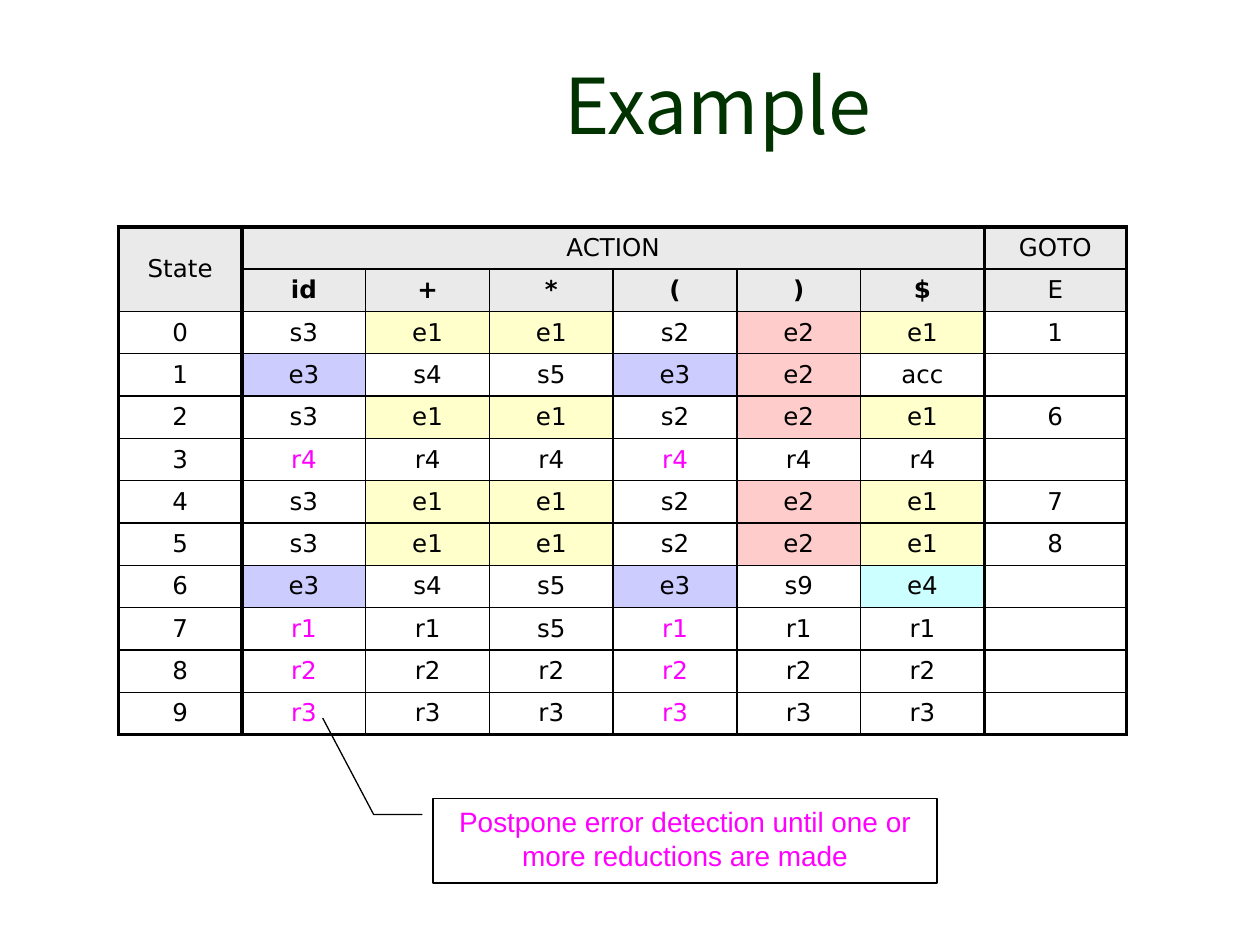
"""Build a slide with an LR parsing table that includes error entries."""
import pptx
import pptx.dml.color
import pptx.enum.shapes
import pptx.enum.text
import pptx.oxml
import pptx.oxml.ns
import pptx.util
from lxml import etree

Pt = pptx.util.Pt
Color = pptx.dml.color.RGBColor.from_string

TITLE = "Example"
NOTE = "Postpone error detection until one or more reductions are made"
HEADER = [
    ["State", "ACTION", "", "", "", "", "", "GOTO"],
    ["", "id", "+", "*", "(", ")", "$", "E"],
]
STATES = [
    ["0", "s3", "e1", "e1", "s2", "e2", "e1", "1"],
    ["1", "e3", "s4", "s5", "e3", "e2", "acc", ""],
    ["2", "s3", "e1", "e1", "s2", "e2", "e1", "6"],
    ["3", "r4", "r4", "r4", "r4", "r4", "r4", ""],
    ["4", "s3", "e1", "e1", "s2", "e2", "e1", "7"],
    ["5", "s3", "e1", "e1", "s2", "e2", "e1", "8"],
    ["6", "e3", "s4", "s5", "e3", "s9", "e4", ""],
    ["7", "r1", "r1", "s5", "r1", "r1", "r1", ""],
    ["8", "r2", "r2", "r2", "r2", "r2", "r2", ""],
    ["9", "r3", "r3", "r3", "r3", "r3", "r3", ""],
]
ROWS = HEADER + STATES
MERGES = [((0, 0), (1, 0)), ((0, 1), (0, 6))]
POSTPONED_COLUMNS = (1, 4)

THEME = {
    "ink": "000000",
    "accent": "FF00FF",
    "title": {"name": "Noto Sans CJK SC", "size": Pt(44), "color": "003300"},
    "cell": {"name": "DejaVu Sans", "size": Pt(14)},
    "note": {"name": "Arial", "size": Pt(16), "color": "FF00FF"},
    "header_fill": "EAEAEA",
    "cell_fill": "FFFFFF",
    "error_fills": {"e1": "FFFFCC", "e2": "FFCCCC", "e3": "CCCCFF", "e4": "CCFFFF"},
    "thin": Pt(1),
    "thick": Pt(2.25),
}

TITLE_BOX = (134.6, 22.3, 551.5, 73.4)
TABLE_LEFT, TABLE_TOP = 67.6, 129.6
ROW_HEIGHT = 24.18
COLUMN_WIDTHS = [70.7] * 7 + [81.1]
THICK_COLUMN_EDGES = (0, 1, 7, 8)
THICK_ROW_EDGES = (0, len(ROWS))
NOTE_BOX = (247.5, 456.4, 288, 48.2)
NOTE_LEADER = [0.188, -0.021, 0.188, -0.118, -0.956, -0.219]


def write_text(text_frame, text, font_format):
    """Put one centred, formatted paragraph into a text frame."""
    paragraph = text_frame.paragraphs[0]
    paragraph.alignment = pptx.enum.text.PP_ALIGN.CENTER
    if not text:
        end_properties = paragraph._p.get_or_add_endParaRPr()
        end_properties.set("sz", str(int(font_format["size"].pt * 100)))
        return
    run = paragraph.add_run()
    run.text = text
    for name, value in font_format.items():
        if name == "color":
            run.font.color.rgb = Color(value)
        else:
            setattr(run.font, name, value)


def add_borders(cell, row, column):
    """Draw the four borders of a cell, thick along the main divisions."""
    right, bottom = column + cell.span_width, row + cell.span_height
    edges = {
        "lnL": column in THICK_COLUMN_EDGES,
        "lnR": right in THICK_COLUMN_EDGES,
        "lnT": row in THICK_ROW_EDGES,
        "lnB": bottom in THICK_ROW_EDGES,
    }
    qn = pptx.oxml.ns.qn
    properties = cell._tc.get_or_add_tcPr()
    for tag, is_thick in edges.items():
        width = THEME["thick"] if is_thick else THEME["thin"]
        line = etree.SubElement(properties, qn(f"a:{tag}"), w=str(int(width)))
        fill = etree.SubElement(line, qn("a:solidFill"))
        etree.SubElement(fill, qn("a:srgbClr"), val=THEME["ink"])


def fill_cell(cell, row, column):
    """Write and style one cell of the parsing table."""
    text = ROWS[row][column]
    is_header = row < len(HEADER)
    is_postponed = not is_header and column in POSTPONED_COLUMNS and text.startswith("r")
    font_format = {
        **THEME["cell"],
        "bold": row == 1 and 1 <= column <= 6,
        "color": THEME["accent"] if is_postponed else THEME["ink"],
    }
    cell.vertical_anchor = pptx.enum.text.MSO_ANCHOR.MIDDLE
    write_text(cell.text_frame, text, font_format)
    add_borders(cell, row, column)
    cell.fill.solid()
    plain_fill = THEME["header_fill"] if is_header else THEME["cell_fill"]
    cell.fill.fore_color.rgb = Color(THEME["error_fills"].get(text, plain_fill))


def add_title(slide):
    """Add the slide title."""
    text_frame = slide.shapes.add_textbox(*map(Pt, TITLE_BOX)).text_frame
    text_frame.word_wrap = True
    text_frame.vertical_anchor = pptx.enum.text.MSO_ANCHOR.MIDDLE
    write_text(text_frame, TITLE, THEME["title"])


def add_parsing_table(slide):
    """Add the ACTION and GOTO table."""
    size = (sum(COLUMN_WIDTHS), ROW_HEIGHT * len(ROWS))
    table = slide.shapes.add_table(
        len(ROWS), len(COLUMN_WIDTHS), *map(Pt, (TABLE_LEFT, TABLE_TOP, *size))
    ).table
    table.first_row = table.horz_banding = False
    for column, width in zip(table.columns, COLUMN_WIDTHS):
        column.width = Pt(width)
    for row in table.rows:
        row.height = Pt(ROW_HEIGHT)
    for first, last in MERGES:
        table.cell(*first).merge(table.cell(*last))
    for row in range(len(ROWS)):
        for column in range(len(COLUMN_WIDTHS)):
            cell = table.cell(row, column)
            if not cell.is_spanned:
                fill_cell(cell, row, column)


def add_note(slide):
    """Add the callout that points at the last postponed entry."""
    shape = slide.shapes.add_shape(
        pptx.enum.shapes.MSO_SHAPE.LINE_CALLOUT_2, *map(Pt, NOTE_BOX)
    )
    for index, value in enumerate(NOTE_LEADER):
        shape.adjustments[index] = value
    shape.shadow.inherit = False
    shape.fill.background()
    shape.line.color.rgb = Color(THEME["ink"])
    shape.line.width = Pt(0.75)
    shape.text_frame.word_wrap = True
    shape.text_frame.vertical_anchor = pptx.enum.text.MSO_ANCHOR.TOP
    write_text(shape.text_frame, NOTE, THEME["note"])


def main():
    """Build and save the presentation."""
    presentation = pptx.Presentation()
    presentation.slide_width, presentation.slide_height = Pt(720), Pt(540)
    slide = presentation.slides.add_slide(presentation.slide_layouts[6])
    add_title(slide)
    add_parsing_table(slide)
    add_note(slide)
    presentation.save("out.pptx")


if __name__ == "__main__":
    main()
